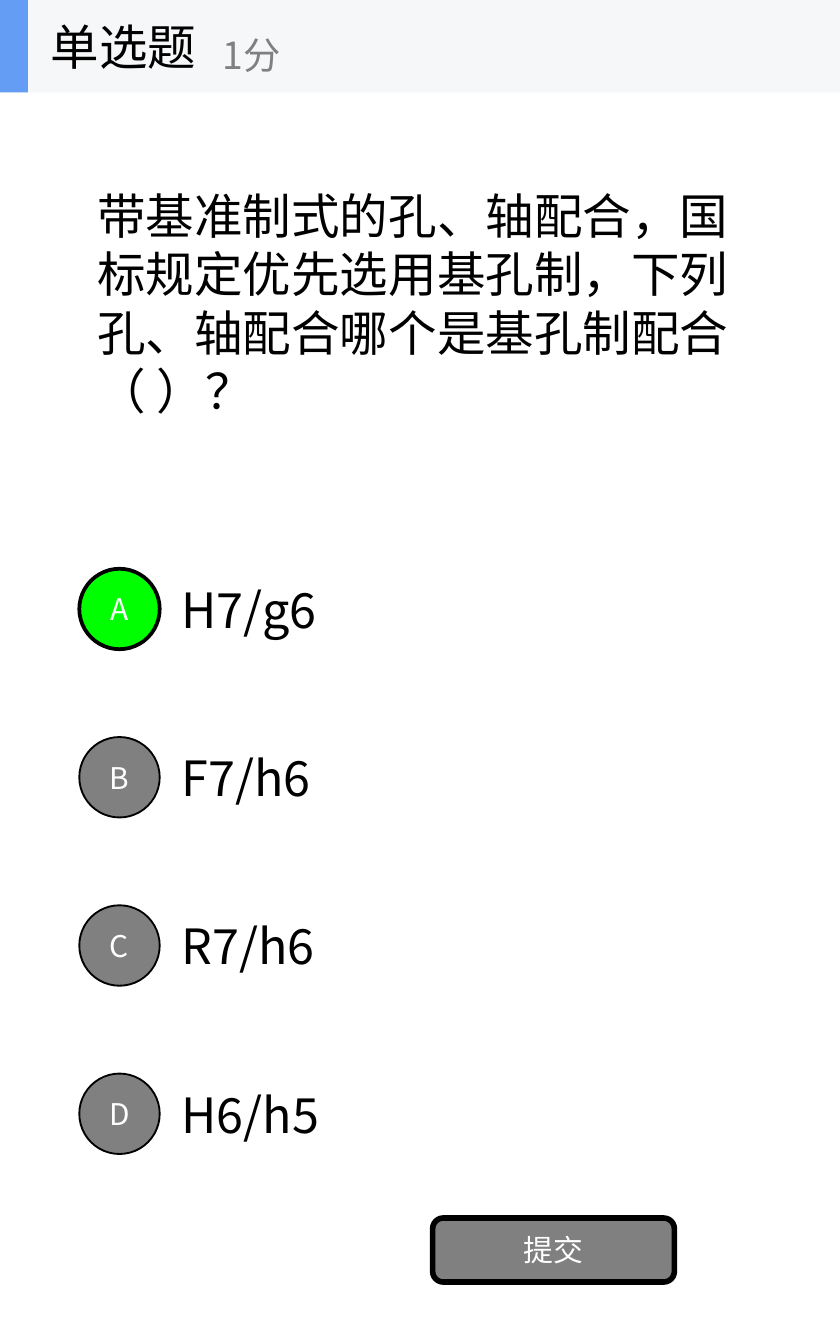
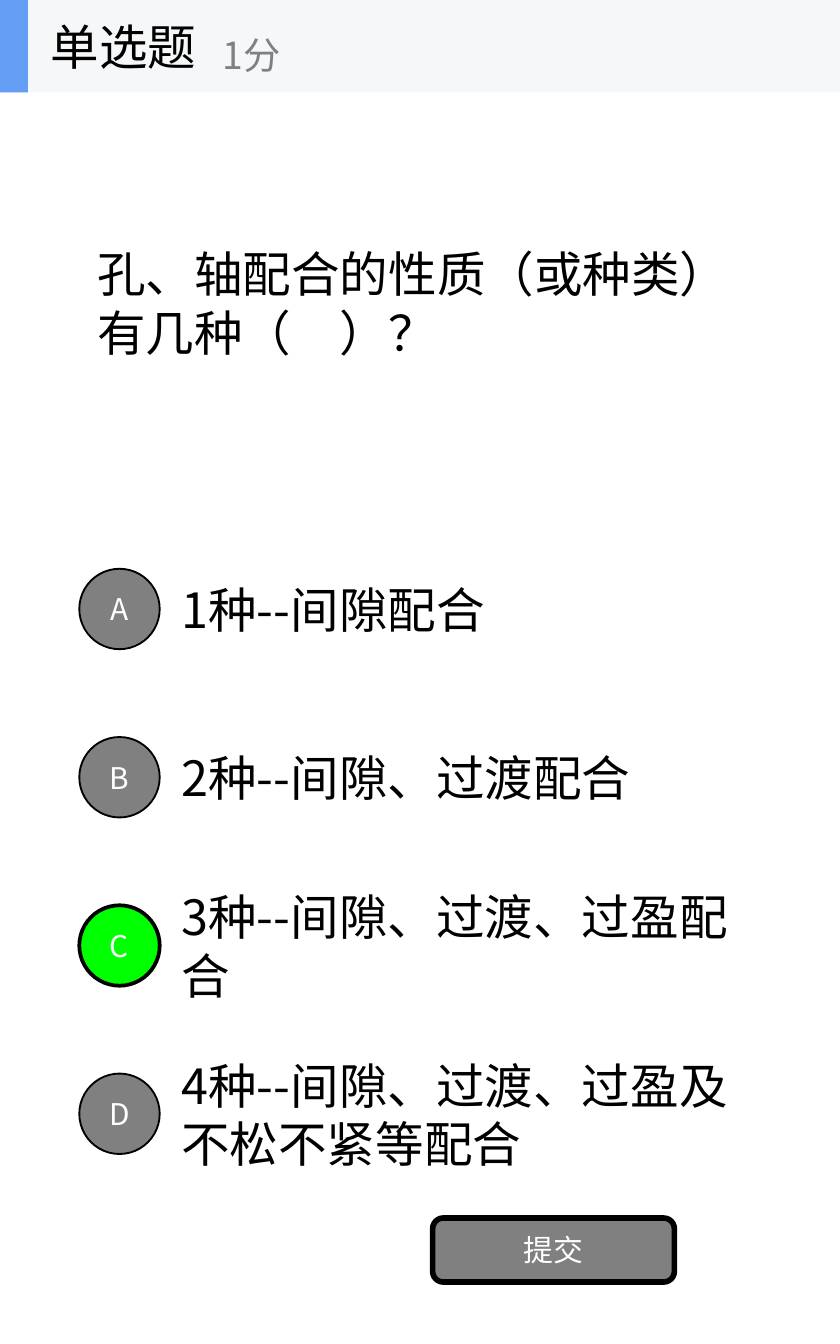
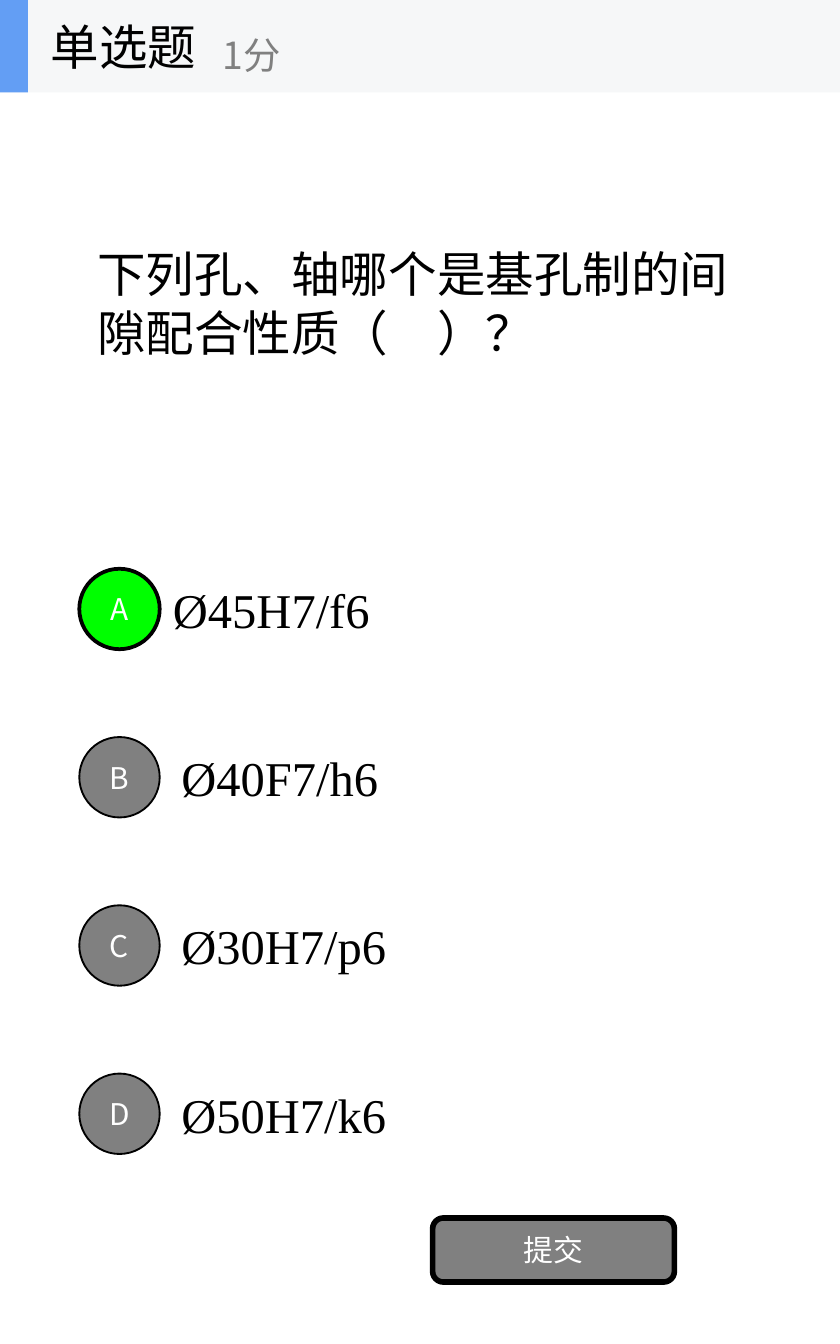
"""Build three single-choice quiz pages with a shared header, badges and button."""
from dataclasses import dataclass

from lxml.etree import SubElement
from pptx import Presentation
from pptx.dml.color import RGBColor
from pptx.enum.shapes import MSO_SHAPE as Shape
from pptx.enum.text import MSO_ANCHOR as Anchor, PP_ALIGN as Align
from pptx.oxml.ns import qn
from pptx.util import Cm, Pt

BLACK = RGBColor(0x00, 0x00, 0x00)
WHITE = RGBColor(0xFF, 0xFF, 0xFF)
GRAY = RGBColor(0x80, 0x80, 0x80)
GREEN = RGBColor(0x00, 0xFF, 0x00)
BAND = RGBColor(0xF6, 0xF7, 0xF8)
BLUE = RGBColor(0x63, 0x9E, 0xF4)

SANS = "Noto Sans CJK SC"
SERIF = "Times New Roman"

PAGE_WIDTH = 15.88
PAGE_HEIGHT = 25.4
BAND_HEIGHT = 1.75
OPTION_LEFT = 3.18
OPTION_TOP = 10.32
OPTION_STEP = 3.18
OPTION_HEIGHT = 2.38
BADGE_SIZE = 1.52


@dataclass(frozen=True)
class Area:
    """A rectangle on the page, in centimetres."""
    left: float
    top: float
    width: float
    height: float

    def lengths(self) -> list:
        """Return the four values as lengths."""
        return [Cm(value) for value in (self.left, self.top, self.width, self.height)]


@dataclass(frozen=True)
class TextStyle:
    """The look of one line of text."""
    size: int
    color: RGBColor
    font: str = SANS


@dataclass(frozen=True)
class Quiz:
    """A question with its options and the letter of the right one."""
    question: str
    options: tuple[str, ...]
    answer: str
    option_font: str = SANS
    first_option_left: float = OPTION_LEFT


BODY = TextStyle(26, BLACK)
SCORE = TextStyle(20, GRAY)
LABEL = TextStyle(16, WHITE)

QUIZZES = (
    Quiz("带基准制式的孔、轴配合，国标规定优先选用基孔制，下列孔、轴配合哪个是基孔制配合（ ）？",
         ("H7/g6", "F7/h6", "R7/h6", "H6/h5"), "A"),
    Quiz("孔、轴配合的性质（或种类）有几种（　）？",
         ("1种--间隙配合", "2种--间隙、过渡配合", "3种--间隙、过渡、过盈配合",
          "4种--间隙、过渡、过盈及不松不紧等配合"), "C"),
    Quiz("下列孔、轴哪个是基孔制的间隙配合性质（　）？",
         ("Ø45H7/f6", "Ø40F7/h6", "Ø30H7/p6", "Ø50H7/k6"), "A", SERIF, 3.02),
)


def write(box, text: str, style: TextStyle, align: Align = Align.LEFT) -> None:
    """Put one vertically centred paragraph into a box."""
    frame = box.text_frame
    frame.text = text
    frame.vertical_anchor = Anchor.MIDDLE
    para = frame.paragraphs[0]
    para.alignment = align
    for span in para.runs:
        span.font.size = Pt(style.size)
        span.font.color.rgb = style.color
        span.font.name = style.font
        SubElement(span._r.get_or_add_rPr(), qn("a:ea"), typeface=SANS)


def add_text(shapes, area: Area, text: str, style: TextStyle, wrap: bool = True) -> None:
    """Draw a text box."""
    box = shapes.add_textbox(*area.lengths())
    box.text_frame.word_wrap = wrap
    write(box, text, style)


def add_block(shapes, kind: Shape, area: Area, fill: RGBColor,
              border: float = 0, label: str = "") -> None:
    """Draw a filled shape with an optional black border and label."""
    block = shapes.add_shape(kind, *area.lengths())
    block.shadow.inherit = False
    block.fill.solid()
    block.fill.fore_color.rgb = fill
    if border:
        block.line.color.rgb = BLACK
        block.line.width = Pt(border)
    else:
        block.line.fill.background()
    if label:
        write(block, label, LABEL, Align.CENTER)


def add_header(page) -> None:
    """Draw the grouped title band."""
    header = page.shapes.add_group_shape().shapes
    add_block(header, Shape.RECTANGLE, Area(0, 0, PAGE_WIDTH, BAND_HEIGHT), BAND)
    add_block(header, Shape.RECTANGLE, Area(0, 0, 0.53, BAND_HEIGHT), BLUE)
    add_text(header, Area(0.71, 0, 5.28, BAND_HEIGHT), "单选题", BODY, wrap=False)
    add_text(header, Area(3.96, 0.31, 6.35, 1.43), "1分", SCORE, wrap=False)


def add_options(page, quiz: Quiz) -> None:
    """Draw the option texts, then their letter badges."""
    tops = [OPTION_TOP + row * OPTION_STEP for row in range(len(quiz.options))]
    style = TextStyle(BODY.size, BODY.color, quiz.option_font)
    for row, (top, option) in enumerate(zip(tops, quiz.options)):
        left = OPTION_LEFT if row else quiz.first_option_left
        add_text(page.shapes, Area(left, top, 11.11, OPTION_HEIGHT), option, style)
    for top, letter in zip(tops, "ABCD"):
        badge = Area(1.5, top + (OPTION_HEIGHT - BADGE_SIZE) / 2, BADGE_SIZE, BADGE_SIZE)
        fill, border = (GREEN, 2) if letter == quiz.answer else (GRAY, 1)
        add_block(page.shapes, Shape.OVAL, badge, fill, border, letter)


def add_quiz(deck, quiz: Quiz) -> None:
    """Add one quiz page."""
    page = deck.slides.add_slide(deck.slide_layouts[6])
    add_text(page.shapes, Area(1.59, BAND_HEIGHT, 12.7, 7.94), quiz.question, BODY)
    add_options(page, quiz)
    add_block(page.shapes, Shape.ROUNDED_RECTANGLE, Area(8.18, 23.02, 4.57, 1.21),
              GRAY, 3, "提交")
    add_header(page)


def main() -> None:
    """Build and save the deck."""
    deck = Presentation()
    deck.slide_width = Cm(PAGE_WIDTH)
    deck.slide_height = Cm(PAGE_HEIGHT)
    for quiz in QUIZZES:
        add_quiz(deck, quiz)
    deck.save("out.pptx")


if __name__ == "__main__":
    main()
